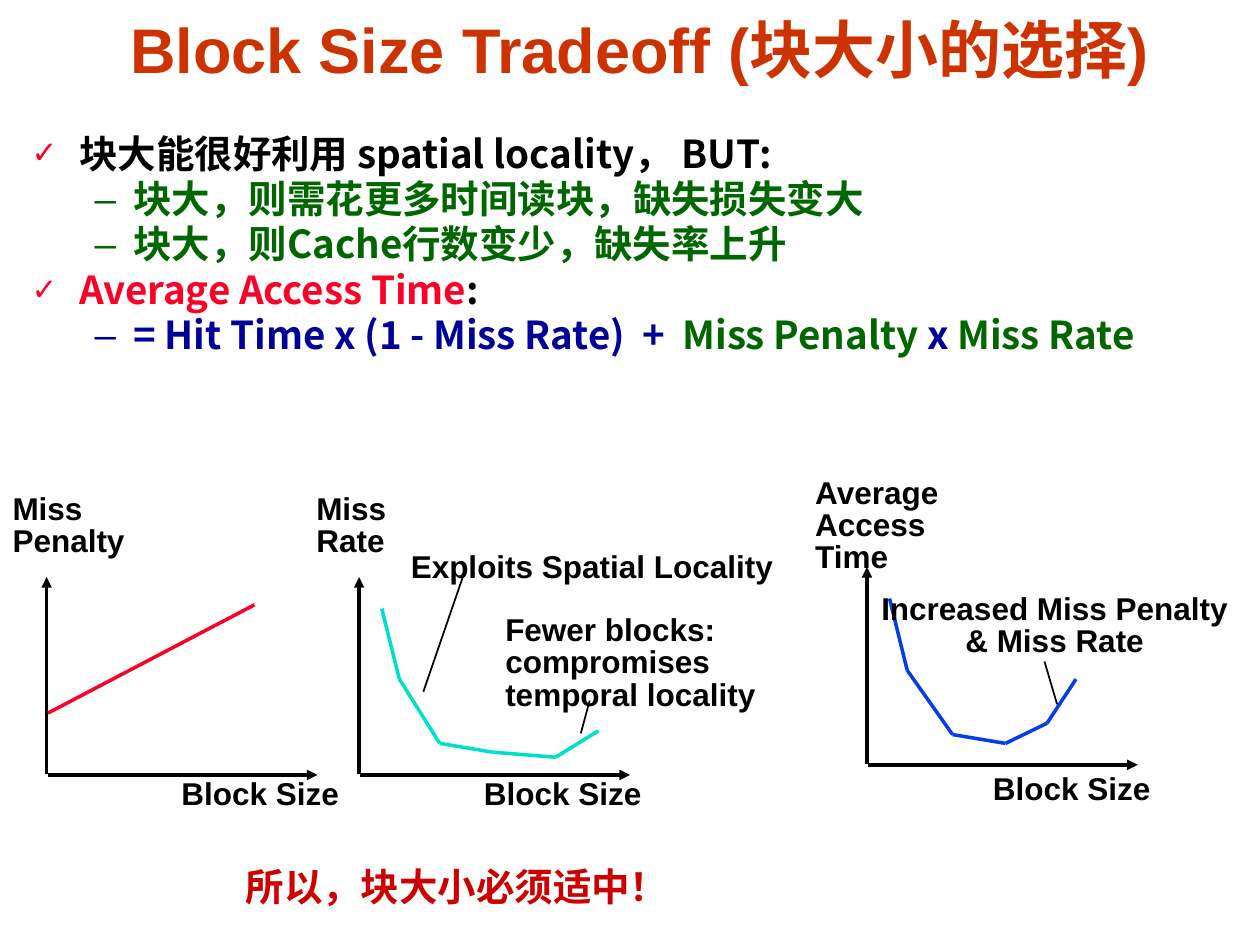
from itertools import pairwise

from lxml import etree
from pptx import Presentation
from pptx.dml.color import RGBColor
from pptx.enum.shapes import MSO_CONNECTOR
from pptx.enum.text import MSO_ANCHOR, MSO_AUTO_SIZE, PP_ALIGN
from pptx.oxml.ns import qn
from pptx.util import Inches, Pt

STRAIGHT = MSO_CONNECTOR.STRAIGHT
LEFT, CENTER = PP_ALIGN.LEFT, PP_ALIGN.CENTER
MIDDLE, TOP = MSO_ANCHOR.MIDDLE, MSO_ANCHOR.TOP
NO_FIT = MSO_AUTO_SIZE.NONE

BLACK = RGBColor(0x00, 0x00, 0x00)
ORANGE = RGBColor(0xCC, 0x33, 0x00)
RED = RGBColor(0xFC, 0x01, 0x28)
DARK_RED = RGBColor(0xCC, 0x00, 0x00)
GREEN = RGBColor(0x00, 0x66, 0x00)
NAVY = RGBColor(0x00, 0x00, 0x99)
TURQUOISE = RGBColor(0x00, 0xDF, 0xCA)
BLUE = RGBColor(0x06, 0x3D, 0xE8)

LATIN, CHINESE = "Arial", "Noto Sans CJK SC"
AXIS_HEIGHT, AXIS_WIDTH = 1.57, 2.15
LINE_HEIGHT = 0.26

# Level and coloured runs of each list item
BULLETS = [
    (0, [("块大能很好利用 spatial locality， BUT:", BLACK)]),
    (1, [("块大，则需花更多时间读块，缺失损失变大", GREEN)]),
    (1, [("块大，则Cache行数变少，缺失率上升", GREEN)]),
    (0, [("Average Access Time", RED), (":", BLACK)]),
    (1, [("= Hit Time x (1 - Miss Rate)  +  ", NAVY), ("Miss Penalty", GREEN),
         (" x ", NAVY), ("Miss Rate", GREEN)]),
]
# Mark, left indent and hanging indent of each list level
LEVELS = [("✓", 0.38, 0.38), ("–", 0.81, 0.31)]

# Places inside a chart are inches from its origin; labels are x, y, width, lines
CHARTS = [
    {"origin": (0.37, 6.15), "color": RED,
     "curve": [(0.01, -0.49), (1.65, -1.35)],
     "pointers": [],
     "labels": [(-0.34, -2.25, 1.03, ["Miss", "Penalty"], LEFT),
                (1.0, 0.01, 1.39, ["Block Size"], LEFT)]},
    {"origin": (2.85, 6.15), "color": TURQUOISE,
     "curve": [(0.18, -1.32), (0.32, -0.76), (0.64, -0.25), (1.06, -0.18),
               (1.56, -0.14), (1.9, -0.35)],
     "pointers": [((0.51, -0.66), (0.83, -1.59)), ((1.76, -0.33), (1.83, -0.59))],
     "labels": [(-0.41, -2.25, 0.69, ["Miss", "Rate"], LEFT),
                (0.34, -1.79, 3.01, ["Exploits Spatial Locality"], LEFT),
                (1.09, -1.29, 2.12,
                 ["Fewer blocks:", "compromises", "temporal locality"], LEFT),
                (0.92, 0.01, 1.39, ["Block Size"], LEFT)]},
    {"origin": (6.88, 6.07), "color": BLUE,
     "curve": [(0.18, -1.32), (0.32, -0.75), (0.68, -0.24), (1.1, -0.17),
               (1.43, -0.33), (1.66, -0.68)],
     "pointers": [((1.51, -0.48), (1.41, -0.82))],
     "labels": [(-0.48, -2.3, 1.12, ["Average", "Access", "Time"], LEFT),
                (0.05, -1.38, 2.88,
                 ["Increased Miss Penalty", "& Miss Rate"], CENTER),
                (0.93, 0.05, 1.39, ["Block Size"], LEFT)]},
]


def place(shape, left, top, width, height):
    shape.left, shape.top = Inches(left), Inches(top)
    shape.width, shape.height = Inches(width), Inches(height)


def set_frame(frame, side=0.07, edge=0.03, anchor=TOP, wrap=True):
    frame.auto_size = NO_FIT
    frame.word_wrap = wrap
    frame.vertical_anchor = anchor
    frame.margin_left = frame.margin_right = Inches(side)
    frame.margin_top = frame.margin_bottom = Inches(edge)


def add_run(paragraph, text, size, color, font_name=LATIN):
    run = paragraph.add_run()
    run.text = text
    font = run.font
    font.name, font.size, font.bold = font_name, Pt(size), True
    font.color.rgb = color
    latin = run._r.rPr.find(qn("a:latin"))
    east_asian = etree.Element(qn("a:ea"), typeface=CHINESE)
    latin.addnext(east_asian)


def add_lines(frame, lines, size, color, align=LEFT, spacing=1.0):
    for index, line in enumerate(lines):
        paragraph = frame.add_paragraph() if index else frame.paragraphs[0]
        paragraph.alignment = align
        paragraph.line_spacing = spacing
        add_run(paragraph, line, size, color)


def set_bullet(paragraph, level):
    mark, indent, hanging = LEVELS[level]
    properties = paragraph._p.get_or_add_pPr()
    properties.set("marL", str(Inches(indent)))
    properties.set("indent", str(-Inches(hanging)))
    if level == 0:
        color = etree.SubElement(properties, qn("a:buClr"))
        etree.SubElement(color, qn("a:srgbClr"), val=str(RED))
        etree.SubElement(properties, qn("a:buSzPct"), val="80000")
    etree.SubElement(properties, qn("a:buFont"), typeface=LATIN)
    etree.SubElement(properties, qn("a:buChar"), char=mark)


def fill_bullets(frame):
    for index, (level, runs) in enumerate(BULLETS):
        paragraph = frame.add_paragraph() if index else frame.paragraphs[0]
        paragraph.level = level
        paragraph.line_spacing = 0.9
        paragraph.space_before = Pt(2.2)
        set_bullet(paragraph, level)
        for text, color in runs:
            add_run(paragraph, text, 22, color, CHINESE)


def add_line(shapes, origin, start, end, color=BLACK, width=2, arrow=False):
    points = [Inches(base + offset) for point in (start, end)
              for base, offset in zip(origin, point)]
    connector = shapes.add_connector(STRAIGHT, *points)
    connector.line.color.rgb = color
    connector.line.width = Pt(width)
    if arrow:
        etree.SubElement(connector.line._get_or_add_ln(), qn("a:tailEnd"),
                         type="triangle")
    etree.SubElement(connector._element.spPr, qn("a:effectLst"))


def add_sketch(slide, chart):
    shapes = slide.shapes.add_group_shape().shapes
    origin = chart["origin"]
    # Axes
    add_line(shapes, origin, (0, -0.01), (0, -AXIS_HEIGHT), arrow=True)
    add_line(shapes, origin, (0.01, 0), (AXIS_WIDTH, 0), arrow=True)
    # Curve and pointers
    for start, end in pairwise(chart["curve"]):
        add_line(shapes, origin, start, end, chart["color"])
    for start, end in chart["pointers"]:
        add_line(shapes, origin, start, end, width=1)
    # Labels
    for x, y, width, lines, align in chart["labels"]:
        box = shapes.add_textbox(0, 0, 0, 0)
        place(box, origin[0] + x, origin[1] + y, width,
              LINE_HEIGHT * len(lines) + 0.05)
        set_frame(box.text_frame, wrap=False)
        add_lines(box.text_frame, lines, 18, BLACK, align, 0.85)


def main():
    presentation = Presentation()
    presentation.slide_width, presentation.slide_height = Inches(10), Inches(7.5)
    slide = presentation.slides.add_slide(presentation.slide_layouts[1])

    # Title and list
    title, body = slide.shapes.title, slide.placeholders[1]
    place(title, 0.26, 0.14, 9.63, 0.58)
    set_frame(title.text_frame, edge=0, anchor=MIDDLE)
    add_lines(title.text_frame, ["Block Size Tradeoff (块大小的选择)"], 36, ORANGE,
              CENTER, 0.87)
    place(body, 0.18, 1.04, 9.75, 2.18)
    set_frame(body.text_frame)
    fill_bullets(body.text_frame)

    # Three sketched charts
    for chart in CHARTS:
        add_sketch(slide, chart)

    # Conclusion
    conclusion = slide.shapes.add_textbox(0, 0, 0, 0)
    place(conclusion, 1.95, 6.85, 4.44, 0.37)
    set_frame(conclusion.text_frame, side=0, edge=0)
    add_lines(conclusion.text_frame, ["所以，块大小必须适中！"], 22, DARK_RED)

    presentation.save("out.pptx")


main()
